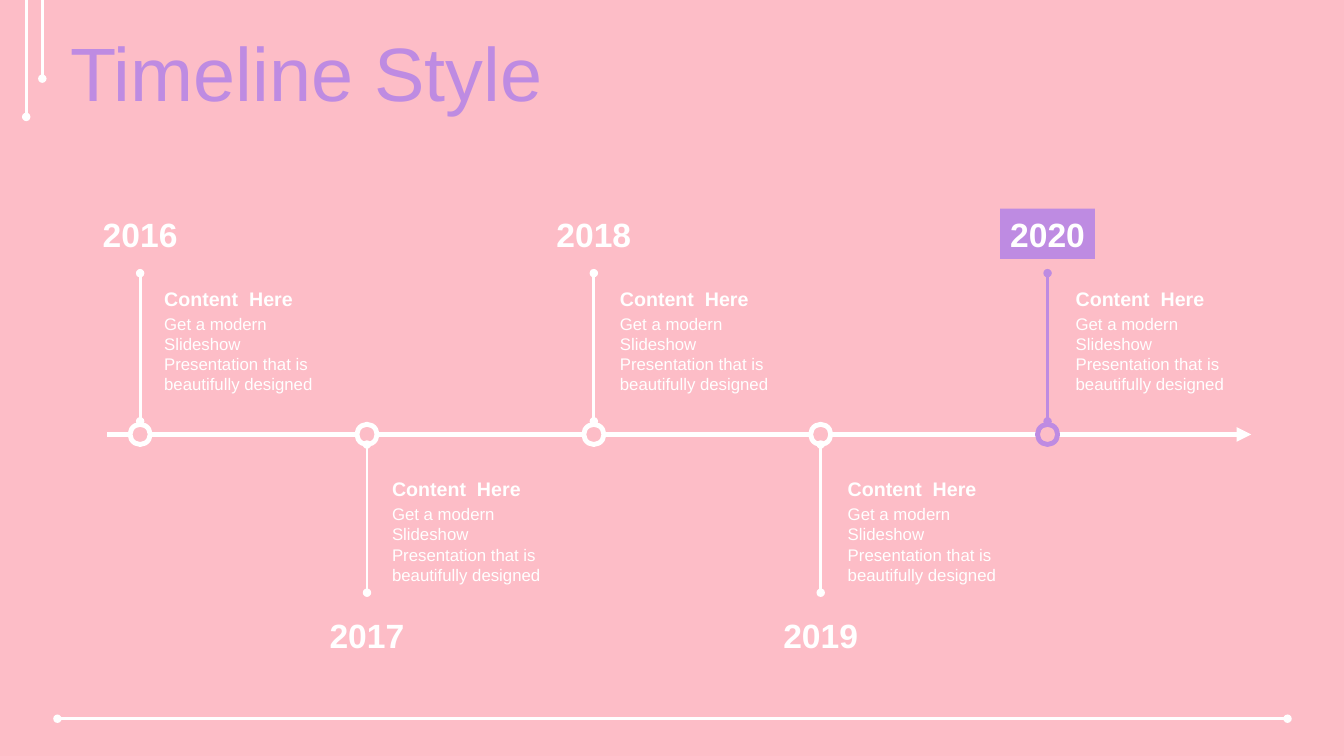
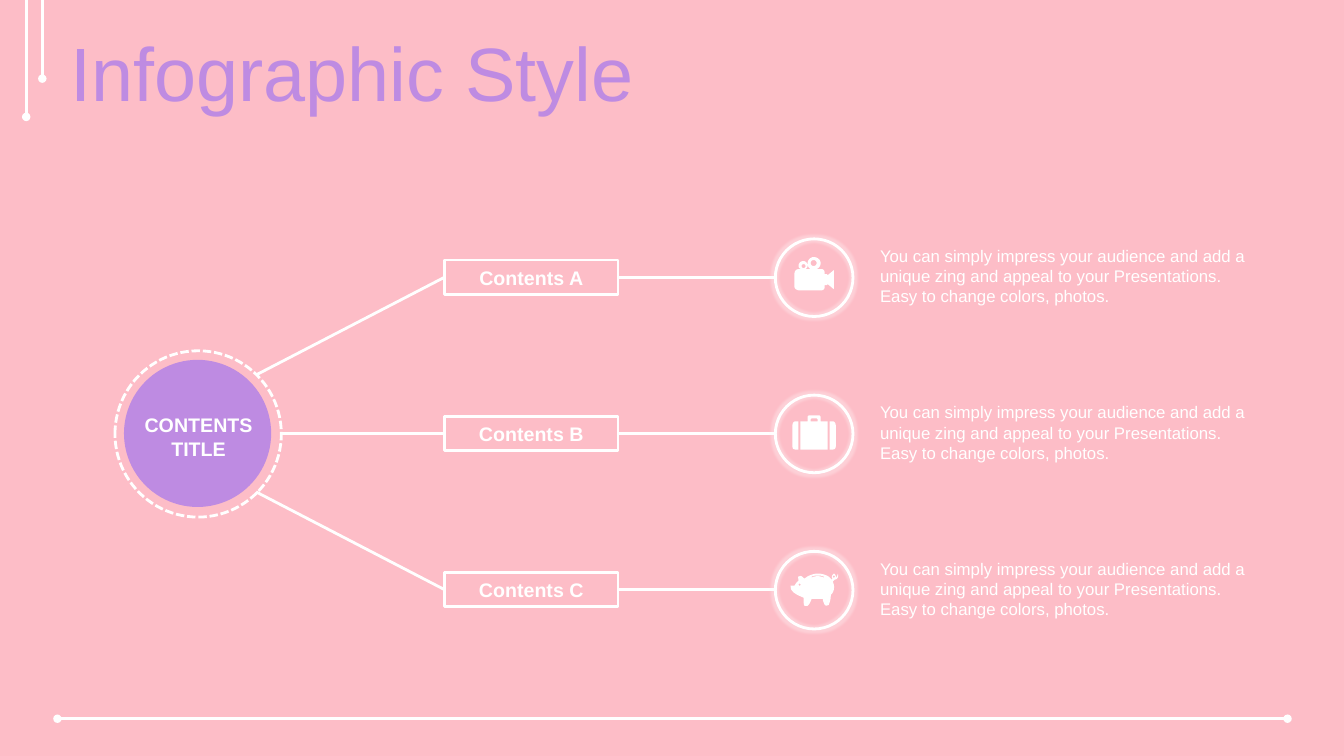
from dataclasses import dataclass
from math import cos, pi, sin

from lxml.etree import SubElement
from pptx import Presentation
from pptx.dml.color import RGBColor as RGB
from pptx.enum.dml import MSO_LINE
from pptx.enum.shapes import MSO_CONNECTOR as CONN, MSO_SHAPE as SHAPE
from pptx.enum.text import MSO_ANCHOR as ANCHOR, PP_ALIGN as ALIGN
from pptx.oxml.ns import qn
from pptx.util import Pt

PX = 9144  # EMU per px, 100 px to the inch


@dataclass(frozen=True)
class Theme:
    font: str = "Arial"
    pink: RGB = RGB.from_string("FDBDC7")
    purple: RGB = RGB.from_string("BE8BE2")
    white: RGB = RGB.from_string("FFFFFF")
    title: int = 54
    year: int = 24
    heading: int = 14
    body: int = 12
    thin: float = 2
    thick: float = 3.5


T = Theme()

BLURB = "Get a modern Slideshow Presentation that is beautifully designed"
PITCH = ("You can simply impress your audience and add a unique zing and appeal "
         "to your Presentations. Easy to change colors, photos.")


def oval(cx, cy, radius, steps=16):
    angles = [2 * pi * i / steps for i in range(steps)]
    return [(cx + radius * cos(a), cy + radius * sin(a)) for a in angles]


# Each icon is a list of contours; a pair is a corner, six numbers a Bezier curve.
CAMERA = [
    [(19, 0), (23, 0, 26, 3, 26, 6), (26, 9, 24, 11, 22, 12), (27, 12),
     (29, 12, 30, 14, 30, 16), (30, 17), (32, 17), (33, 18), (39, 13), (39, 32),
     (33, 27), (32, 28), (30, 28), (30, 30), (30, 31, 29, 33, 27, 33), (4, 33),
     (2, 33, 0, 31, 0, 30), (0, 16), (0, 14, 2, 12, 4, 12), (7, 12),
     (5, 12, 4, 10, 4, 9), (4, 6, 6, 4, 9, 4), (11, 4, 13, 6, 13, 9),
     (13, 10, 12, 12, 10, 12), (16, 12), (14, 11, 13, 9, 13, 6),
     (13, 3, 16, 0, 19, 0)],
    oval(9, 9, 2),
    oval(19, 6, 3),
]
SUITCASE = [
    [(37, 6), (40, 6), (42, 6, 43, 8, 43, 10), (43, 31),
     (43, 33, 42, 34, 40, 34), (37, 34)],
    [(3, 6), (6, 6), (6, 34), (3, 34), (1, 34, 0, 33, 0, 31), (0, 10),
     (0, 8, 1, 6, 3, 6)],
    [(17, 0), (26, 0), (27, 0, 28, 1, 28, 2), (28, 6), (35, 6), (35, 34),
     (8, 34), (8, 6), (15, 6), (15, 2), (15, 1, 16, 0, 17, 0)],
    [(19, 3), (18, 4), (18, 6), (25, 6), (25, 4), (24, 3)],
]
PIG = [
    [(27, 0), (32, 0, 38, 2, 40, 5), (41, 6), (42, 5), (41, 5, 41, 4, 41, 3),
     (41, 2, 42, 1, 43, 0), (44, 0, 45, 2, 45, 3), (45, 4), (45, 4, 46, 4, 47, 0),
     (48, 4, 46, 6, 44, 6), (43, 7, 43, 7, 42, 8), (43, 11),
     (44, 15, 42, 20, 40, 21), (40, 26, 39, 28, 38, 31), (37, 32, 34, 32, 34, 31),
     (33, 29, 32, 27, 32, 25), (28, 25, 24, 25, 21, 25), (20, 28, 19, 30, 17, 32),
     (14, 32), (13, 32, 13, 27, 13, 24), (9, 22, -1, 19, 0, 12), (4, 12),
     (5, 10, 6, 9, 8, 7), (8, 5, 7, 3, 8, 3), (11, 1, 12, 4, 14, 5),
     (17, 2, 23, 0, 27, 0)],
    [(27, 2), (25, 2, 23, 2, 21, 3), (21, 4), (25, 2, 29, 2, 33, 4), (33, 3),
     (31, 2, 29, 2, 27, 2)],
    oval(9, 11, 1),
    oval(43, 3, 1),
]


def px(*lengths):
    return [round(v * PX) for v in lengths]


def paint(sp, fill=None, line=None, width=T.thin):
    sp.shadow.inherit = False
    if fill is None:
        sp.fill.background()
    else:
        sp.fill.solid()
        sp.fill.fore_color.rgb = fill
    if line is None:
        sp.line.fill.background()
    else:
        sp.line.color.rgb = line
        sp.line.width = Pt(width)


def shape(slide, kind, box, **look):
    sp = slide.shapes.add_shape(kind, *px(*box))
    paint(sp, **look)
    return sp


def line(slide, start, end, color=T.white, width=T.thin, head=None, tail=None):
    c = slide.shapes.add_connector(CONN.STRAIGHT, *px(*start, *end))
    c.line.color.rgb = color
    c.line.width = Pt(width)
    props = c.element.spPr
    for tag, kind in (("a:headEnd", head), ("a:tailEnd", tail)):
        if kind:
            SubElement(props.find(qn("a:ln")), qn(tag), type=kind)
    SubElement(props, qn("a:effectLst"))
    return c


def glow(sp, radius=5, alpha=30):
    """Add a soft white halo; alpha is a percentage."""
    effects = sp.element.spPr.find(qn("a:effectLst"))
    halo = SubElement(effects, qn("a:glow"), rad=str(radius * PX))
    color = SubElement(halo, qn("a:srgbClr"), val=str(T.white))
    SubElement(color, qn("a:alpha"), val=str(alpha * 1000))


def write(sp, text, size=T.body, color=T.white, bold=False, align=ALIGN.LEFT,
          anchor=ANCHOR.TOP, wrap=True, spacing=None):
    tf = sp.text_frame
    tf.word_wrap = wrap
    tf.vertical_anchor = anchor
    for i, row in enumerate(text.split("\n")):
        p = tf.add_paragraph() if i else tf.paragraphs[0]
        p.alignment = align
        p.line_spacing = spacing
        r = p.add_run()
        r.text = row
        r.font.name = T.font
        r.font.size = Pt(size)
        r.font.bold = bold
        r.font.color.rgb = color


def textbox(slide, box, text, **style):
    write(slide.shapes.add_textbox(*px(*box)), text, **style)


def trace(contour):
    """Yield the contour's points, with its curves cut into short lines."""
    x0, y0 = contour[0]
    for step in contour:
        *controls, x, y = step
        if controls:
            x1, y1, x2, y2 = controls
            for t in (0.2, 0.4, 0.6, 0.8):
                u = 1 - t
                a, b, c, d = u ** 3, 3 * u * u * t, 3 * u * t * t, t ** 3
                yield a * x0 + b * x1 + c * x2 + d * x, a * y0 + b * y1 + c * y2 + d * y
        yield x, y
        x0, y0 = x, y


def icon(slide, left, top, contours):
    builder = None
    for contour in contours:
        first, *rest = [px(left + x, top + y) for x, y in trace(contour)]
        if builder is None:
            builder = slide.shapes.build_freeform(*first, scale=1.0)
        else:
            builder.move_to(*first)
        builder.add_line_segments(rest, close=True)
    paint(builder.convert_to_shape(), fill=T.white)


def framed_slide(prs, title):
    """Add a slide with the shared rules and title."""
    slide = prs.slides.add_slide(prs.slide_layouts[6])
    line(slide, (57, 713), (1277, 713), head="oval", tail="oval")
    for x, bottom in ((26, 116), (42, 78)):
        line(slide, (x, 0), (x, bottom), tail="oval")
    textbox(slide, (60, 37, 1273, 79), title, size=T.title, color=T.purple,
            anchor=ANCHOR.MIDDLE, spacing=0.9)
    return slide


def milestone(slide, x, axis, text_left, year, above, current):
    """Place one year on the axis at x, with its stem and text above or below."""
    accent = T.purple if current else T.white
    shape(slide, SHAPE.OVAL, (x - 10, axis - 10, 20, 20),
          fill=T.pink, line=accent, width=T.thick)
    stem, year_top, text_top = (-160, -224, -152) if above else (10, 174, 37)
    line(slide, (x, axis + stem), (x, axis + stem + 147), color=accent,
         head="oval", tail="oval")
    label = shape(slide, SHAPE.RECTANGLE, (x - 47, axis + year_top, 94, 50),
                  fill=T.purple if current else None)
    write(label, year, size=T.year, bold=True, align=ALIGN.CENTER,
          anchor=ANCHOR.MIDDLE, wrap=False)
    top = axis + text_top
    textbox(slide, (text_left, top, 184, 34), "Content  Here", size=T.heading,
            bold=True, anchor=ANCHOR.MIDDLE)
    textbox(slide, (text_left, top + 27, 184, 91), BLURB)


def timeline(slide, left, axis, years):
    line(slide, (left, axis), (left + 1135, axis), width=T.thick, tail="triangle")
    for i, year in enumerate(years):
        milestone(slide, left + 33 + 225 * i, axis, left + 47 + 226 * i, year,
                  above=i % 2 == 0, current=i == len(years) - 1)


def hub(slide, cx, cy, text):
    shape(slide, SHAPE.OVAL, (cx - 73, cy - 73, 146, 146), fill=T.purple)
    ring = shape(slide, SHAPE.OVAL, (cx - 82, cy - 82, 165, 165), line=T.white)
    ring.line.dash_style = MSO_LINE.SQUARE_DOT
    textbox(slide, (cx - 70, cy - 25, 142, 57), text, size=T.heading, bold=True,
            align=ALIGN.CENTER)


def branch(slide, left, cy, hub_point, name, contours, offset):
    """Place one row: link, named box, link, icon in a circle, text."""
    box = shape(slide, SHAPE.RECTANGLE, (left, cy - 17, 172, 34), line=T.white)
    write(box, name, size=T.heading, bold=True, align=ALIGN.CENTER,
          anchor=ANCHOR.MIDDLE)
    line(slide, (left, cy), hub_point).begin_connect(box, 1)
    ring_left, ring_top = left + 328, cy - 38
    line(slide, (ring_left, cy), (left + 172, cy)).end_connect(box, 3)
    glow(shape(slide, SHAPE.OVAL, (ring_left, ring_top, 77, 77), line=T.white))
    dx, dy = offset
    icon(slide, ring_left + dx, ring_top + dy, contours)
    textbox(slide, (left + 422, cy - 36, 397, 71), PITCH)


def infographic(slide, cx, cy):
    hub(slide, cx, cy, "CONTENTS\nTITLE")
    rows = (("Contents A", CAMERA, (19, 18), (58, -58)),
            ("Contents B", SUITCASE, (17, 20), (82, 0)),
            ("Contents C", PIG, (15, 22), (58, 58)))
    for i, (name, contours, offset, (dx, dy)) in enumerate(rows):
        branch(slide, cx + 245, cy + 155 * (i - 1), (cx + dx, cy + dy),
               name, contours, offset)


def main():
    prs = Presentation()
    prs.slide_width, prs.slide_height = px(1333, 750)
    backdrop = prs.slide_master.background.fill
    backdrop.solid()
    backdrop.fore_color.rgb = T.pink
    timeline(framed_slide(prs, "Timeline Style"), 106, 431,
             ("2016", "2017", "2018", "2019", "2020"))
    infographic(framed_slide(prs, "Infographic Style"), 196, 430)
    prs.save("out.pptx")


if __name__ == "__main__":
    main()
